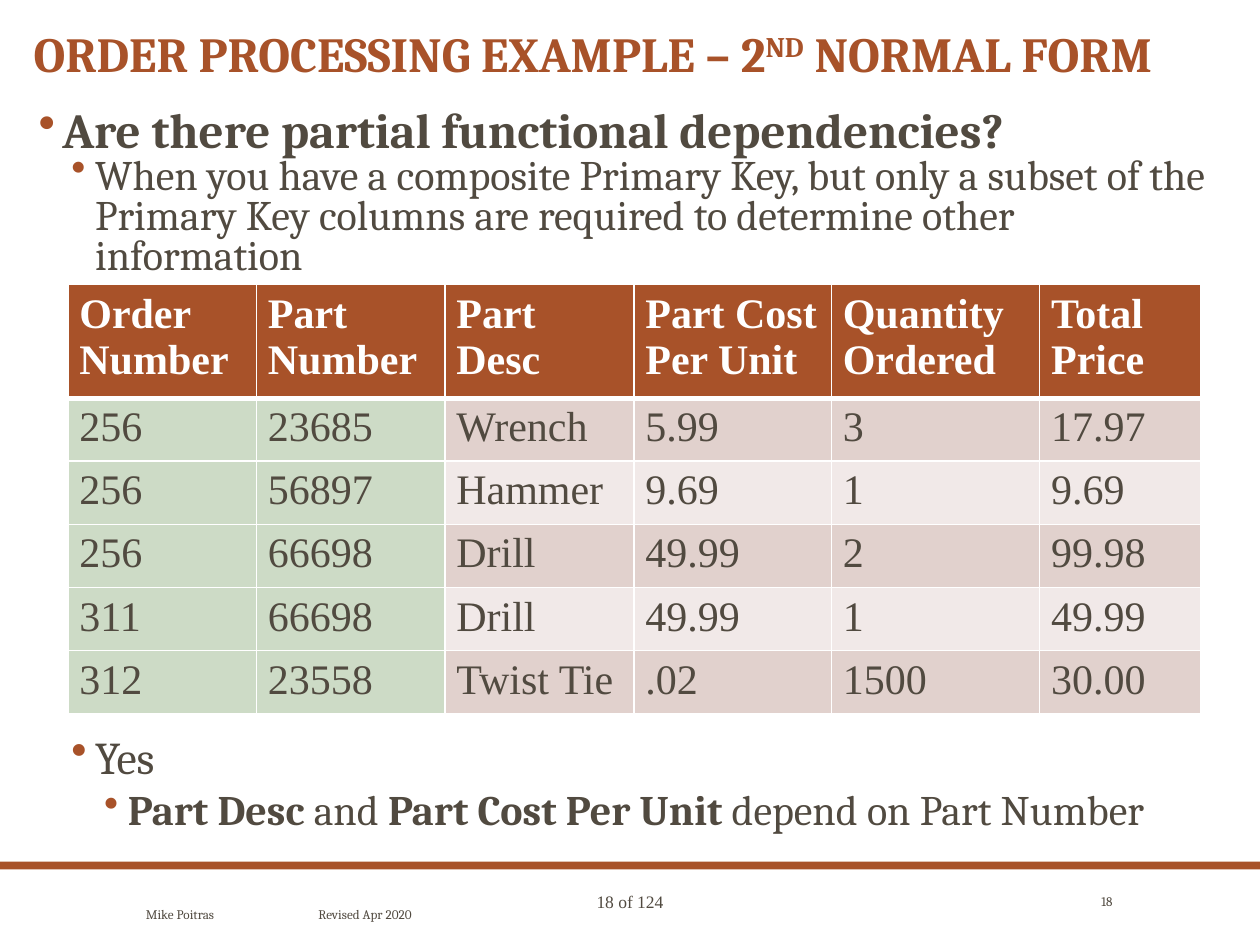
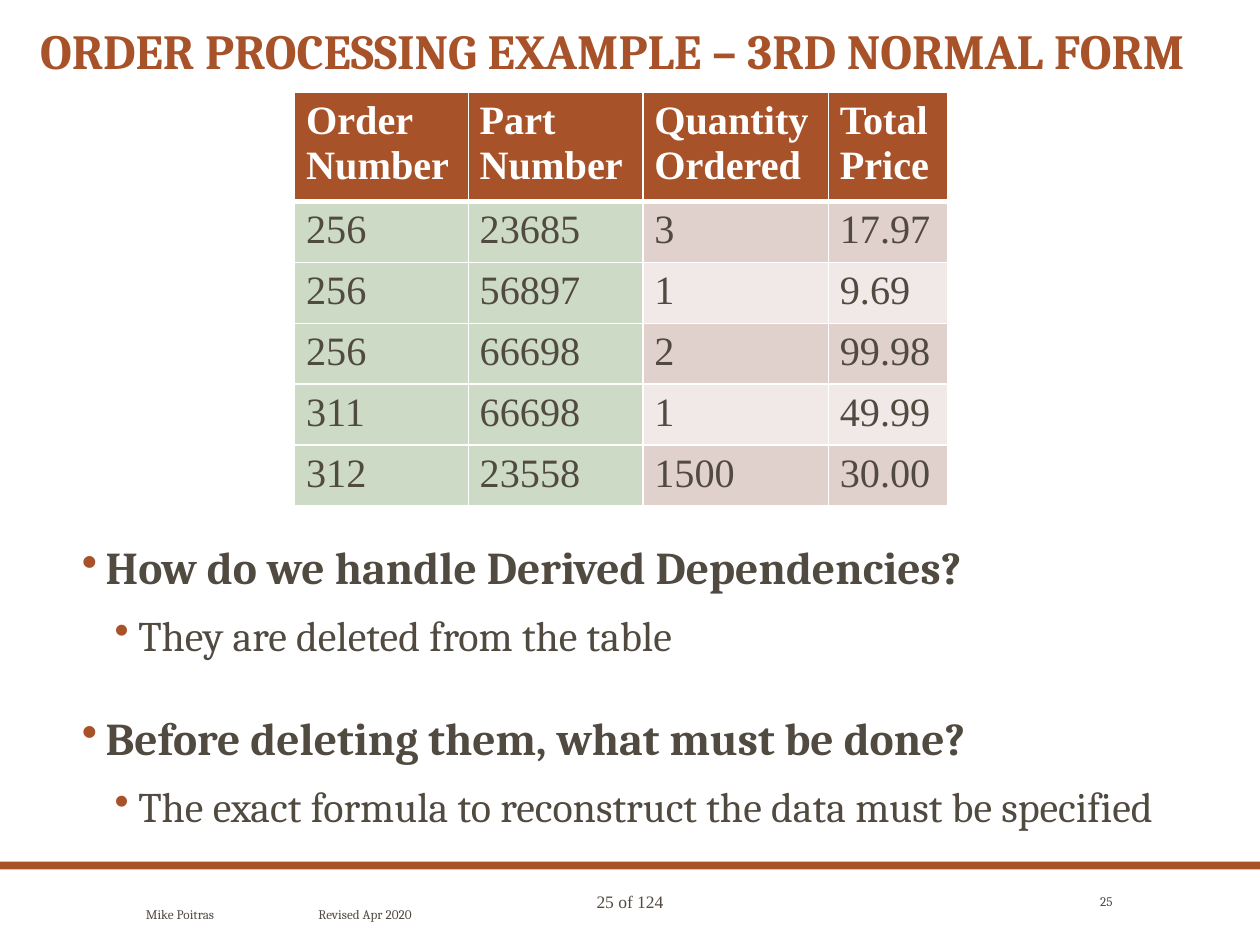
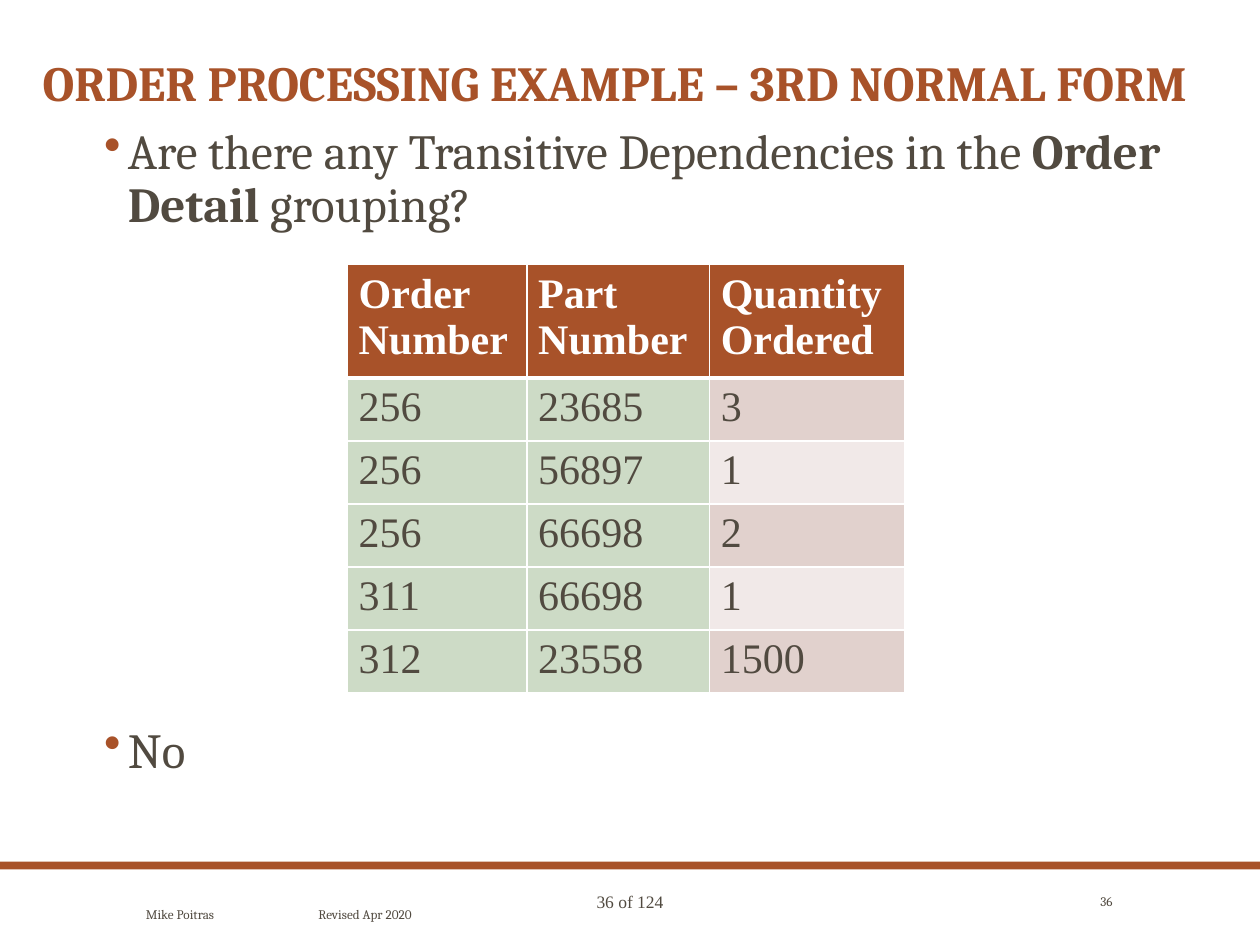
import pptx
import pptx.dml.color
import pptx.enum.shapes
import pptx.enum.text
import pptx.oxml
import pptx.oxml.ns
import pptx.util
from lxml import etree

Cm = pptx.util.Cm
Pt = pptx.util.Pt
RGBColor = pptx.dml.color.RGBColor
ALIGN = pptx.enum.text.PP_ALIGN
ANCHOR = pptx.enum.text.MSO_ANCHOR

# Shared colours and fonts
RUST = RGBColor(0xA8, 0x52, 0x29)
BROWN = RGBColor(0x51, 0x4A, 0x40)
WHITE = RGBColor(0xFF, 0xFF, 0xFF)
KEY_GREEN = RGBColor(0xCD, 0xDB, 0xC6)
ROW_FILLS = [RGBColor(0xE1, 0xD1, 0xCD), RGBColor(0xF1, 0xE9, 0xE8)]
SERIF = "Cambria"
TABLE_FONT = "Times New Roman"

# Shared measures
KEY_COLUMNS = 2
LINE_HEIGHT = 1.107
CELL_MARGIN = 3.6
LEVEL_MARGINS = [0.58, 1.24, 1.9]
HANGING = -0.48
TOTAL_PAGES = 124
AUTHOR, REVISION = "Mike Poitras", "Revised Apr 2020"

# Content: order lines, and the columns each slide shows
ORDERS = {
    "Order\nNumber": ["256", "256", "256", "311", "312"],
    "Part Number": ["23685", "56897", "66698", "66698", "23558"],
    "Part Desc": ["Wrench", "Hammer", "Drill", "Drill", "Twist Tie"],
    "Part Cost Per Unit": ["5.99", "9.69", "49.99", "49.99", ".02"],
    "Quantity Ordered": ["3", "1", "2", "1", "1500"],
    "Total Price": ["17.97", "9.69", "99.98", "49.99", "30.00"],
}

# Bullets: level, size, space before, runs of (text, style)
SLIDES = [
    {
        "page": 18,
        "title": [("ORDER PROCESSING EXAMPLE – 2", "bold"), ("ND", "bold super"),
                  (" NORMAL FORM", "bold")],
        "title_box": (0.43, 0.48, 24.16, 1.4),
        "body_box": (0.43, 2.11, 24.16, 15.47),
        "line_spacing": 0.8,
        "space_after": [0, 6, 6],
        "bullets": [
            (0, 28, 0, [("Are there partial functional dependencies?", "bold")]),
            (1, 24, 0, [("When you have a composite Primary Key, but only a subset of the "
                         "Primary Key columns are required to determine other information", "")]),
            (1, 26, 257, [("Yes", "")]),
            (2, 24, 0, [("Part Desc ", "bold"), ("and ", ""), ("Part Cost Per Unit", "bold"),
                        (" depend on Part Number", "")]),
        ],
        "table_at": (1.37, 5.74),
        "table_size": 24,
        "columns": {"Order\nNumber": 3.8, "Part Number": 3.8, "Part Desc": 3.81,
                    "Part Cost Per Unit": 3.98, "Quantity Ordered": 4.2, "Total Price": 3.25},
    },
    {
        "page": 25,
        "title": [("ORDER PROCESSING EXAMPLE – 3RD NORMAL FORM", "bold")],
        "title_box": (0.56, 0.43, 24.38, 1.4),
        "body_box": (1.3, 10.87, 23.67, 6.73),
        "line_spacing": 0.9,
        "space_after": [12, 6],
        "bullets": [
            (0, 26, 0, [("How do we handle Derived Dependencies?", "bold")]),
            (1, 24, 0, [("They are deleted from the table", "")]),
            (0, 26, 25.5, [("Before deleting them, what must be done?", "bold")]),
            (1, 24, 0, [("The exact formula to reconstruct the data must be specified", "")]),
        ],
        "table_at": (5.94, 1.86),
        "table_size": 23,
        "columns": {"Order\nNumber": 3.5, "Part Number": 3.52, "Quantity Ordered": 3.74,
                    "Total Price": 2.4},
    },
    {
        "page": 36,
        "title": [("ORDER PROCESSING EXAMPLE – 3RD NORMAL FORM", "bold")],
        "title_box": (0.61, 1.07, 24.33, 1.4),
        "body_box": (1.75, 2.44, 22.33, 14.48),
        "line_spacing": 0.9,
        "space_after": [12],
        "bullets": [
            (0, 28, 0, [("Are there any Transitive Dependencies in the ", ""),
                        ("Order Detail ", "bold"), ("grouping?", "")]),
            (0, 28, 269.5, [("No", "")]),
        ],
        "table_at": (7, 5.33),
        "table_size": 24,
        "columns": {"Order\nNumber": 3.62, "Part Number": 3.68, "Quantity Ordered": 3.94},
    },
]


def add_xml(parent, tag, **attributes):
    return etree.SubElement(parent, pptx.oxml.ns.qn(tag), attributes)


def add_run(paragraph, text, size, color=BROWN, font=SERIF, style=""):
    run = paragraph.add_run()
    run.text = text
    run.font.name = font
    run.font.size = Pt(size)
    run.font.bold = "bold" in style
    run.font.color.rgb = color
    if "super" in style:
        run._r.get_or_add_rPr().set("baseline", "30000")


def add_text_box(slide, box, anchor=ANCHOR.TOP, align=ALIGN.LEFT):
    """Return the text frame and its first paragraph."""
    frame = slide.shapes.add_textbox(*map(Cm, box)).text_frame
    frame.word_wrap = True
    frame.vertical_anchor = anchor
    frame.paragraphs[0].alignment = align
    return frame, frame.paragraphs[0]


def add_title(slide, content):
    paragraph = add_text_box(slide, content["title_box"])[1]
    paragraph.line_spacing = 0.9
    for text, style in content["title"]:
        add_run(paragraph, text, 28, RUST, style=style)


def add_bullets(slide, content):
    frame, paragraph = add_text_box(slide, content["body_box"])
    for index, (level, size, space_before, runs) in enumerate(content["bullets"]):
        if index:
            paragraph = frame.add_paragraph()
        paragraph.level = level
        paragraph.line_spacing = content["line_spacing"]
        paragraph.space_before = Pt(space_before)
        paragraph.space_after = Pt(content["space_after"][level])
        properties = paragraph._p.get_or_add_pPr()
        properties.set("marL", str(Cm(LEVEL_MARGINS[level])))
        properties.set("indent", str(Cm(HANGING)))
        add_xml(add_xml(properties, "a:buClr"), "a:srgbClr", val=str(RUST))
        add_xml(properties, "a:buChar", char="•")
        for text, style in runs:
            add_run(paragraph, text, size, style=style)


def set_borders(cell, row):
    widths = {"L": 1, "R": 1, "T": 3 if row == 1 else 1, "B": 3 if row == 0 else 1}
    properties = cell._tc.get_or_add_tcPr()
    for side, width in widths.items():
        line = add_xml(properties, "a:ln" + side, w=str(Pt(width)))
        add_xml(add_xml(line, "a:solidFill"), "a:srgbClr", val=str(WHITE))


def fill_cell(cell, text, row, column, size):
    set_borders(cell, row)
    cell.margin_left = cell.margin_right = Cm(0.23)
    cell.margin_top = cell.margin_bottom = Pt(CELL_MARGIN)
    cell.fill.solid()
    if row == 0:
        fill = RUST
    elif column < KEY_COLUMNS:
        fill = KEY_GREEN
    else:
        fill = ROW_FILLS[(row - 1) % 2]
    cell.fill.fore_color.rgb = fill
    for index, line in enumerate(text.split("\n")):
        paragraph = cell.text_frame.add_paragraph() if index else cell.text_frame.paragraphs[0]
        add_run(paragraph, line, size, WHITE if row == 0 else BROWN, TABLE_FONT,
                "bold" if row == 0 else "")


def add_order_table(slide, content):
    columns, size = content["columns"], content["table_size"]
    row_count = 1 + len(ORDERS["Part Number"])
    # The header holds two lines of text, every other row one
    heights = [Pt(lines * size * LINE_HEIGHT + 2 * CELL_MARGIN)
               for lines in [2] + [1] * (row_count - 1)]
    left, top = map(Cm, content["table_at"])
    table = slide.shapes.add_table(row_count, len(columns), left, top,
                                   Cm(sum(columns.values())), sum(heights)).table
    table.horz_banding = False
    for row, height in enumerate(heights):
        table.rows[row].height = height
    for column, (heading, width) in enumerate(columns.items()):
        table.columns[column].width = Cm(width)
        for row, text in enumerate([heading] + ORDERS[heading]):
            fill_cell(table.cell(row, column), text, row, column, size)


def add_footer(slide, page):
    band = slide.shapes.add_shape(pptx.enum.shapes.MSO_SHAPE.RECTANGLE,
                                  0, Cm(17.37), Cm(25.4), Cm(0.16))
    band.shadow.inherit = False
    band.fill.solid()
    band.fill.fore_color.rgb = RUST
    band.line.fill.background()

    page_count = add_text_box(slide, (8.94, 17.83, 7.52, 0.69), align=ALIGN.CENTER)[1]
    add_run(page_count, f"{page} of {TOTAL_PAGES}", 10, font=TABLE_FONT)

    credit = add_text_box(slide, (2.69, 17.83, 20.02, 1.22), ANCHOR.MIDDLE)[1]
    tab_stops = add_xml(credit._p.get_or_add_pPr(), "a:tabLst")
    add_xml(tab_stops, "a:tab", pos=str(Cm(3.48)), algn="l")
    add_run(credit, f"{AUTHOR}\t{REVISION}", 7.5)

    number = add_text_box(slide, (21.23, 17.83, 1.45, 0.66), ANCHOR.MIDDLE, ALIGN.RIGHT)[1]
    add_run(number, str(page), 7.5)


def main():
    presentation = pptx.Presentation()
    presentation.slide_width = Cm(25.4)
    presentation.slide_height = Cm(19.05)
    for content in SLIDES:
        slide = presentation.slides.add_slide(presentation.slide_layouts[6])
        add_footer(slide, content["page"])
        add_title(slide, content)
        add_bullets(slide, content)
        add_order_table(slide, content)
    presentation.save("out.pptx")


if __name__ == "__main__":
    main()
